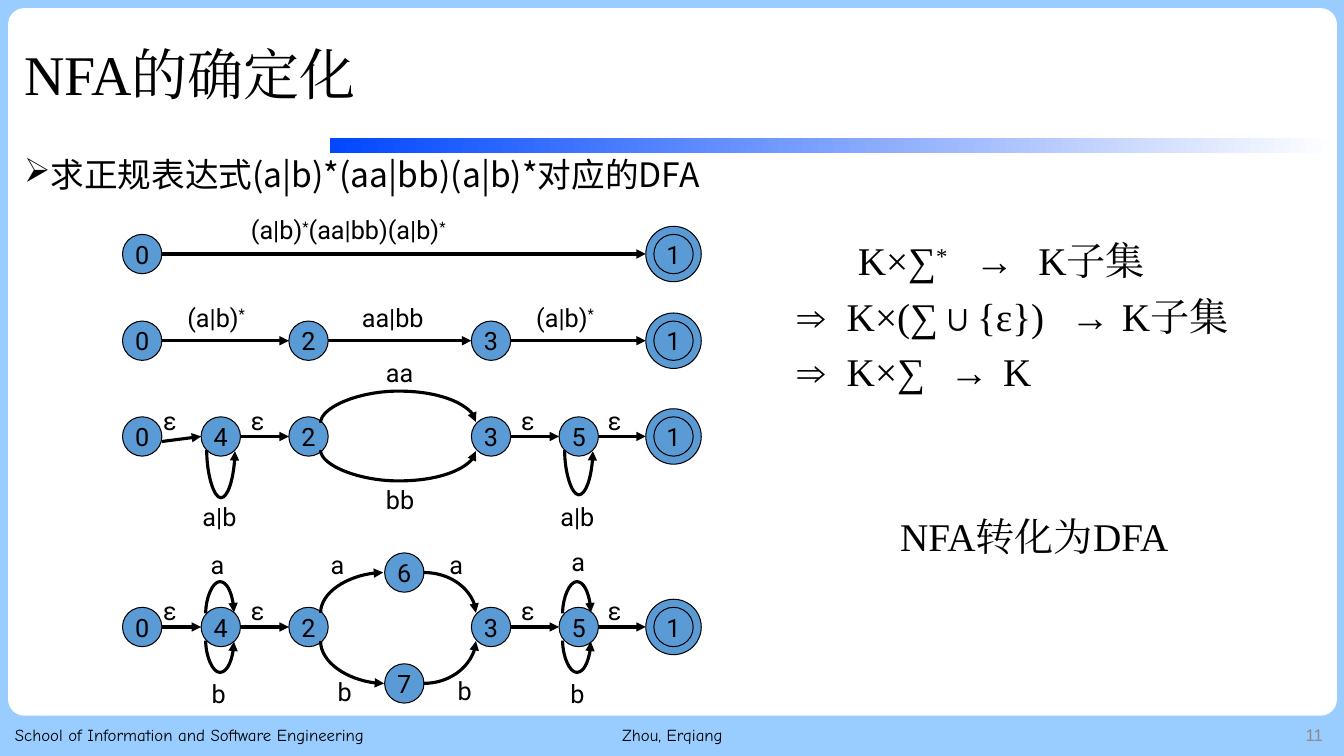
from dataclasses import dataclass

from lxml.etree import SubElement
from pptx import Presentation
from pptx.dml.color import RGBColor
from pptx.enum.shapes import MSO_CONNECTOR, MSO_SHAPE
from pptx.enum.text import MSO_ANCHOR, PP_ALIGN
from pptx.oxml.ns import qn
from pptx.util import Inches, Pt

GRID_COLUMNS, GRID_ROWS = 1333, 750
CELL = Inches(13.33) / GRID_COLUMNS
COLORS = {"sky": "99CCFF", "white": "FFFFFF", "blue": "0047FF",
          "state": "5B9BD5", "black": "000000", "gray": "8C8C8C"}
SERIF, SANS, CHINESE, FOOTER = "Times New Roman", "Roboto", "Noto Sans CJK SC", "Comic Neue"
STATE_COLUMNS = {"0": 141, "4": 219, "2": 306, "6": 401, "7": 401, "3": 487, "5": 574, "1": 668}
ACCEPTING = "1"
STATE_SIZE, ACCEPTING_SIZE = 39, 55


@dataclass(frozen=True)
class Line:
    text: str
    tabs: tuple[int, ...] = ()
    space_before: float = 0
    bullet: str = ""


@dataclass(frozen=True)
class Chain:
    """States in one row; the branch from 2 to 3 may be drawn as arcs instead."""
    row: int
    states: str
    branched: bool = False
    first_drop: int = 0


@dataclass(frozen=True)
class Arc:
    """An arrow that leaves and returns to the base row by way of the peak row."""
    left: int
    right: int
    base: int
    peak: int


@dataclass(frozen=True)
class Quarter:
    start: tuple[int, int]
    end: tuple[int, int]
    vertical_first: bool


@dataclass(frozen=True)
class Label:
    text: str
    left: int
    top: int
    width: int = 47


CHAINS = [
    Chain(252, "01"),
    Chain(338, "0231"),
    Chain(433, "042351", branched=True, first_drop=5),
    Chain(622, "042351", branched=True),
]
ARCS = [
    Arc(205, 233, 447, 495), Arc(560, 588, 447, 492),
    Arc(318, 472, 419, 387), Arc(318, 472, 447, 478),
    *(Arc(left, left + 28, base, peak) for left in (204, 558)
      for base, peak in ((608, 576), (636, 668))),
]
QUARTERS = [
    Quarter((318, 608), (380, 568), True), Quarter((420, 568), (472, 608), False),
    Quarter((318, 636), (381, 678), True), Quarter((420, 678), (472, 636), False),
]
LABELS = [
    Label("(a|b)*(aa|bb)(a|b)*", 239, 208, 315),
    Label("(a|b)*", 176, 295, 94), Label("aa|bb", 349, 295, 95), Label("(a|b)*", 522, 295, 94),
    Label("aa", 373, 350, 55), Label("bb", 373, 476, 55),
    Label("a|b", 191, 492, 71), Label("a|b", 546, 492, 63),
    Label("a", 199, 540), Label("a", 318, 540), Label("a", 436, 540), Label("a", 557, 537),
    Label("b", 200, 668), Label("b", 325, 666), Label("b", 444, 665), Label("b", 556, 668),
    *(Label("ε", left, top) for top in (397, 586) for left in (152, 239, 507, 593)),
]
FORMULAS = [
    Line("\tK×∑*\t→\tK子集", (88, 204, 267)),
    Line("\t⇒\tK×(∑∪{ε})\t→\tK子集", (28, 77, 299, 350), 5.8),
    Line("\t⇒\tK×∑\t→\tK", (28, 77, 179, 232), 5.8),
    Line("\tNFA转化为DFA", (130,), 84),
]


def cells(count: float) -> int:
    return round(count * CELL)


def rgb(name: str) -> RGBColor:
    return RGBColor.from_string(COLORS[name])


def write(frame, lines: list[Line], *, size: int, font: str, color: str = "black",
          align=PP_ALIGN.LEFT, anchor=MSO_ANCHOR.TOP, wrap: bool = True,
          spacing: float | None = None, raise_stars: bool = False) -> None:
    frame.word_wrap = wrap
    frame.vertical_anchor = anchor
    for index, line in enumerate(lines):
        para = frame.paragraphs[0] if index == 0 else frame.add_paragraph()
        para.alignment = align
        para.line_spacing = spacing
        para.space_before = Pt(line.space_before)
        properties = para._p.get_or_add_pPr()
        if line.bullet:
            properties.set("marL", str(cells(25)))
            properties.set("indent", str(-cells(25)))
            SubElement(properties, qn("a:buChar"), char=line.bullet)
        if line.tabs:
            tab_list = SubElement(properties, qn("a:tabLst"))
            for tab in line.tabs:
                SubElement(tab_list, qn("a:tab"), pos=str(cells(tab)), algn="l")
        pieces = line.text.replace("*", "\n*\n").split("\n") if raise_stars else [line.text]
        for piece in filter(None, pieces):
            span = para.add_run()
            span.text = piece
            span.font.size = Pt(size)
            span.font.name = font
            span.font.color.rgb = rgb(color)
            SubElement(span._r.rPr, qn("a:ea"), typeface=font)
            if raise_stars and piece == "*":
                span._r.rPr.set("baseline", "30000")


def add_text(page, lines: list[Line], left: float, top: float, width: float, height: float,
             **text_format) -> None:
    box = page.shapes.add_textbox(*map(cells, (left, top, width, height)))
    write(box.text_frame, lines, **text_format)


def add_plain_shape(page, kind, left: float, top: float, width: float, height: float):
    shape = page.shapes.add_shape(kind, *map(cells, (left, top, width, height)))
    shape.shadow.inherit = False
    shape.line.fill.background()
    return shape


def add_circle(page, column: float, row: float, size: float):
    circle = add_plain_shape(page, MSO_SHAPE.OVAL, column - size / 2, row - size / 2, size, size)
    circle.fill.solid()
    circle.fill.fore_color.rgb = rgb("state")
    circle.line.color.rgb = rgb("black")
    circle.line.width = Pt(0.75)
    return circle


def add_state(page, name: str, row: float) -> None:
    column = STATE_COLUMNS[name]
    if name == ACCEPTING:
        add_circle(page, column, row, ACCEPTING_SIZE)
    frame = add_circle(page, column, row, STATE_SIZE).text_frame
    frame.margin_left = frame.margin_right = frame.margin_top = frame.margin_bottom = 0
    write(frame, [Line(name)], size=18, font=SANS, align=PP_ALIGN.CENTER,
          anchor=MSO_ANCHOR.MIDDLE, wrap=False)


def add_arrow(page, kind, start: tuple[float, float], end: tuple[float, float]):
    arrow = page.shapes.add_connector(kind, *map(cells, (*start, *end)))
    arrow.line.color.rgb = rgb("black")
    arrow.line.width = Pt(2.25)
    SubElement(arrow.line._get_or_add_ln(), qn("a:tailEnd"), type="triangle")
    SubElement(arrow._element.spPr, qn("a:effectLst"))
    return arrow


def add_turned_curve(page, column: float, row: float, span: float, rise: float, upward: bool):
    """A curve centred on column and row that sets out vertically and runs rightward."""
    left, right = column - rise / 2, column + rise / 2
    top, bottom = row - span / 2, row + span / 2
    first, last = (top, bottom) if upward else (bottom, top)
    curve = add_arrow(page, MSO_CONNECTOR.CURVE, (left, first), (right, last))
    curve._element.spPr.xfrm.set("rot", str((270 if upward else 90) * 60000))
    return curve


def add_arc(page, arc: Arc) -> None:
    curve = add_turned_curve(page, (arc.left + arc.right) / 2, arc.base,
                             arc.right - arc.left, 1, arc.peak < arc.base)
    adjustments = curve._element.spPr.find(qn("a:prstGeom")).find(qn("a:avLst"))
    depth = abs(arc.peak - arc.base) * 100000
    SubElement(adjustments, qn("a:gd"), name="adj1", fmla=f"val {depth}")


def add_quarter(page, quarter: Quarter) -> None:
    (left, first), (right, last) = quarter.start, quarter.end
    if quarter.vertical_first:
        curve = add_turned_curve(page, (left + right) / 2, (first + last) / 2,
                                 right - left, abs(last - first), last < first)
    else:
        curve = add_arrow(page, MSO_CONNECTOR.CURVE, quarter.start, quarter.end)
    curve._element.spPr.find(qn("a:prstGeom")).set("prst", "curvedConnector2")


def add_chain(page, chain: Chain) -> None:
    for name in chain.states:
        add_state(page, name, chain.row)
    for index, (source, target) in enumerate(zip(chain.states, chain.states[1:])):
        if chain.branched and source + target == "23":
            continue
        target_size = ACCEPTING_SIZE if target == ACCEPTING else STATE_SIZE
        drop = 0 if index else chain.first_drop
        add_arrow(page, MSO_CONNECTOR.STRAIGHT,
                  (STATE_COLUMNS[source] + STATE_SIZE / 2, chain.row + drop),
                  (STATE_COLUMNS[target] - target_size / 2, chain.row))


def add_frame(page) -> None:
    page.background.fill.solid()
    page.background.fill.fore_color.rgb = rgb("sky")
    panel = add_plain_shape(page, MSO_SHAPE.ROUNDED_RECTANGLE, 8, 8, 1318, 702)
    panel.adjustments[0] = 0.023
    panel.fill.solid()
    panel.fill.fore_color.rgb = rgb("white")
    band = add_plain_shape(page, MSO_SHAPE.RECTANGLE, 327, 137, 999, 15)
    band.fill.gradient()
    band.fill.gradient_angle = 0
    for stop, name in zip(band.fill.gradient_stops, ("blue", "white")):
        stop.color.rgb = rgb(name)
    for text, left, width, align, font, color in (
            ("School of Information and Software Engineering", 5, 432, PP_ALIGN.LEFT, FOOTER, "black"),
            ("Zhou, Erqiang", 442, 450, PP_ALIGN.CENTER, FOOTER, "black"),
            ("11", 1022, 300, PP_ALIGN.RIGHT, "Arial", "gray")):
        add_text(page, [Line(text)], left, 709, width, 40, size=12, font=font, color=color,
                 align=align, anchor=MSO_ANCHOR.MIDDLE)


def main() -> None:
    deck = Presentation()
    deck.slide_width, deck.slide_height = cells(GRID_COLUMNS), cells(GRID_ROWS)
    page = deck.slides.add_slide(deck.slide_layouts[6])
    add_frame(page)
    add_text(page, [Line("NFA的确定化")], 14, 15, 1257, 124, size=40, font=SERIF,
             anchor=MSO_ANCHOR.MIDDLE, spacing=0.9)
    add_text(page, [Line("求正规表达式(a|b)*(aa|bb)(a|b)*对应的DFA", bullet="➢")],
             14, 152, 1312, 50, size=24, font=CHINESE, spacing=0.9)
    for chain in CHAINS:
        add_chain(page, chain)
    for name, row in (("6", 568), ("7", 678)):
        add_state(page, name, row)
    for arc in ARCS:
        add_arc(page, arc)
    for quarter in QUARTERS:
        add_quarter(page, quarter)
    for label in LABELS:
        add_text(page, [Line(label.text)], label.left, label.top, label.width, 40,
                 size=18, font=SANS, raise_stars=True)
    add_text(page, FORMULAS, 753, 230, 580, 337, size=28, font=SERIF, raise_stars=True)
    deck.save("out.pptx")


if __name__ == "__main__":
    main()
